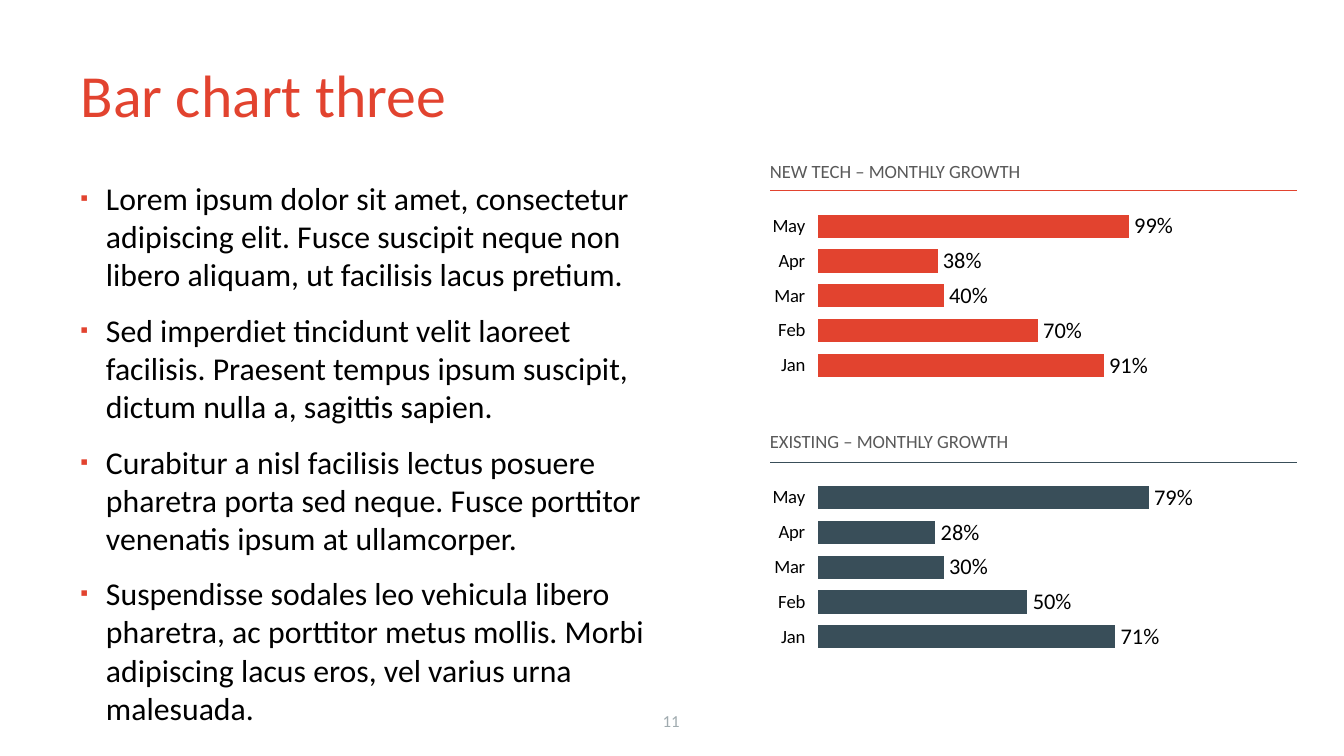
from lxml import etree
from pptx import Presentation
from pptx.chart.data import CategoryChartData
from pptx.dml.color import RGBColor
from pptx.enum import chart as ch, shapes, text
from pptx.oxml import parse_xml
from pptx.oxml.ns import nsdecls, qn
from pptx.util import Inches, Pt

RED = RGBColor(0xE2, 0x43, 0x2F)
SLATE = RGBColor(0x39, 0x4E, 0x59)
GRAY = RGBColor(0x59, 0x59, 0x59)
PALE = RGBColor(0xA0, 0xAB, 0xAF)
BLACK = RGBColor(0, 0, 0)
FONT = "Calibri"

TITLE = "Bar chart three"
BULLETS = [
    "Lorem ipsum dolor sit amet, consectetur adipiscing elit. Fusce suscipit neque non libero aliquam, ut facilisis lacus pretium.",
    "Sed imperdiet tincidunt velit laoreet facilisis. Praesent tempus ipsum suscipit, dictum nulla a, sagittis sapien.",
    "Curabitur a nisl facilisis lectus posuere pharetra porta sed neque. Fusce porttitor venenatis ipsum at ullamcorper.",
    "Suspendisse sodales leo vehicula libero pharetra, ac porttitor metus mollis. Morbi adipiscing lacus eros, vel varius urna malesuada.",
]
PAGE = "11"
MONTHS = ["Jan", "Feb", "Mar", "Apr", "May"]
PANELS = [
    dict(heading="NEW TECH – MONTHLY GROWTH", values=[0.91, 0.7, 0.4, 0.38, 0.99],
         color=RED, maximum=1.2, top=1.14, rule=1.42),
    dict(heading="EXISTING – MONTHLY GROWTH", values=[0.71, 0.5, 0.3, 0.28, 0.79],
         color=SLATE, maximum=0.9, top=3.15, rule=3.44),
]
PLOT = dict(x=0.163, y=0.101, w=0.704, h=0.799)


def set_font(font, size, color=BLACK, name=FONT):
    font.size, font.name = Pt(size), name
    font.color.rgb = color


def add_bullet(p):
    pPr = p._p.get_or_add_pPr()
    pPr.set("marL", str(Inches(0.19)))
    pPr.set("indent", str(-Inches(0.19)))
    for tag, attrs in (("buClr", {}), ("buSzPct", {"val": "70000"}),
                       ("buFont", {"typeface": "Arial"}), ("buChar", {"char": "▪"})):
        el = etree.SubElement(pPr, qn("a:" + tag), attrs)
        if tag == "buClr":
            etree.SubElement(el, qn("a:srgbClr"), {"val": str(RED)})


def write(sp, paragraphs, size, color=BLACK, align=text.PP_ALIGN.LEFT,
          anchor=text.MSO_ANCHOR.TOP, bullets=False):
    tf = sp.text_frame
    tf.word_wrap = True
    tf.auto_size = text.MSO_AUTO_SIZE.NONE
    tf.vertical_anchor = anchor
    for i, line in enumerate(paragraphs):
        p = tf.add_paragraph() if i else tf.paragraphs[0]
        p.alignment = align
        if bullets:
            p.space_before = Pt(3.4 if i else 0)
            p.space_after = Pt(6)
            add_bullet(p)
        r = p.add_run()
        r.text = line
        set_font(r.font, size, color)


def add_text(s, box, paragraphs, size, **fmt):
    write(s.shapes.add_textbox(*map(Inches, box)), paragraphs, size, **fmt)


def add_bars(s, box, values, color, maximum):
    data = CategoryChartData(number_format="0%")
    data.categories = MONTHS
    data.add_series("Series 1", values)
    chart = s.shapes.add_chart(ch.XL_CHART_TYPE.BAR_CLUSTERED, *map(Inches, box), data).chart
    chart.has_legend = chart.has_title = False
    set_font(chart.font, 14, name="Roboto Condensed")

    cat, val = chart.category_axis, chart.value_axis
    set_font(cat.tick_labels.font, 10)
    cat.format.line.fill.background()
    val.visible = val.has_major_gridlines = False
    val.minimum_scale, val.maximum_scale = 0, maximum

    plot = chart.plots[0]
    plot.gap_width = 50
    plot.vary_by_categories = False
    plot.has_data_labels = True
    labels = plot.data_labels
    labels.show_value = True
    labels.number_format, labels.number_format_is_linked = "0%", False
    labels.position = ch.XL_LABEL_POSITION.OUTSIDE_END
    set_font(labels.font, 12)
    fill = plot.series[0].format.fill
    fill.solid()
    fill.fore_color.rgb = color

    area = chart._chartSpace.chart.plotArea
    for old in area.findall(qn("c:layout")):
        area.remove(old)
    sizes = "".join(f'<c:{k} val="{v}"/>' for k, v in PLOT.items())
    area.insert(0, parse_xml(
        f'<c:layout {nsdecls("c")}><c:manualLayout><c:layoutTarget val="inner"/>'
        f'<c:xMode val="edge"/><c:yMode val="edge"/>{sizes}</c:manualLayout></c:layout>'))


def add_rule(s, y, color):
    line = s.shapes.add_connector(shapes.MSO_CONNECTOR.STRAIGHT, Inches(5.73), Inches(y),
                                  Inches(9.65), Inches(y))
    line.line.color.rgb = color
    line.line.width = Pt(0.5)
    etree.SubElement(line._element.spPr, qn("a:effectLst"))


def add_panel(s, heading, values, color, maximum, top, rule):
    add_bars(s, (5.44, rule - 0.03, 3.98, 1.62), values, color, maximum)
    add_text(s, (5.63, top, 3.47, 0.27), [heading], 10, color=GRAY)
    add_rule(s, rule, color)


def main():
    prs = Presentation()
    prs.slide_width = Inches(10)
    prs.slide_height = prs.slide_width * 9 // 16
    s = prs.slides.add_slide(prs.slide_layouts[5])
    title = s.shapes.title
    title.left, title.top, title.width, title.height = map(Inches, (0.5, 0.23, 9, 0.94))
    write(title, [TITLE], 32, color=RED, anchor=text.MSO_ANCHOR.MIDDLE)
    add_text(s, (0.5, 1.28, 4.42, 3.47), BULLETS, 17, bullets=True)
    add_text(s, (3.83, 5.21, 2.33, 0.3), [PAGE], 9, color=PALE,
             align=text.PP_ALIGN.CENTER, anchor=text.MSO_ANCHOR.MIDDLE)
    for panel in PANELS:
        add_panel(s, **panel)
    prs.save("out.pptx")


if __name__ == "__main__":
    main()
